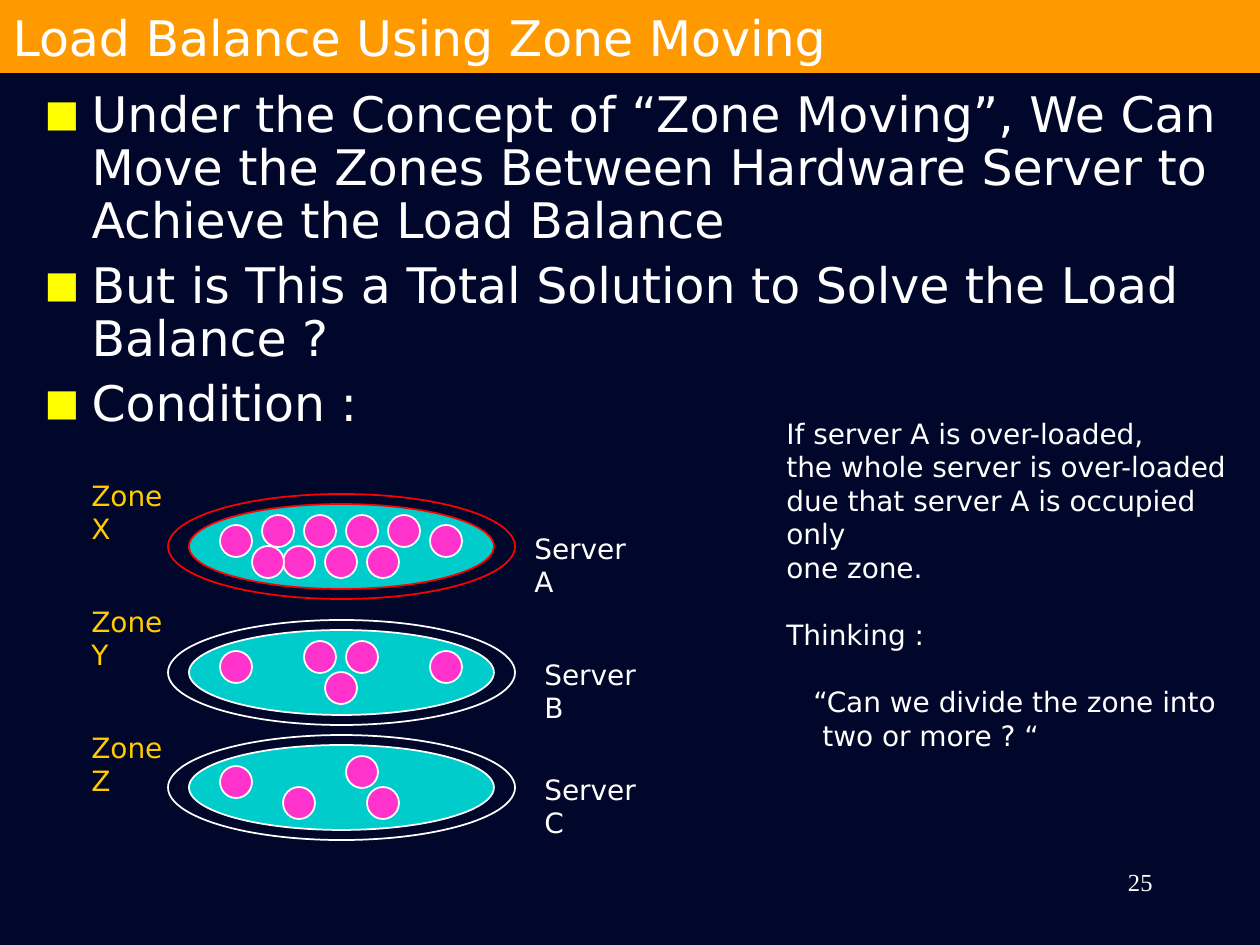
"""Build the slide on load balance by zone moving, with three servers and their zones."""
from lxml import etree
from pptx import Presentation
from pptx.dml.color import RGBColor
from pptx.enum.shapes import MSO_SHAPE
from pptx.enum.text import MSO_ANCHOR, MSO_AUTO_SIZE, PP_ALIGN
from pptx.oxml.ns import qn
from pptx.util import Emu, Pt

ELLIPSE = MSO_SHAPE.OVAL
LEFT, RIGHT = PP_ALIGN.LEFT, PP_ALIGN.RIGHT
TOP, MIDDLE = MSO_ANCHOR.TOP, MSO_ANCHOR.MIDDLE
NO_AUTOFIT = MSO_AUTO_SIZE.NONE
EMU_PER_PX = 914400 / 126
SANS, SERIF = "DejaVu Sans", "Times New Roman"
COLORS = {
    "background": "00072A", "banner": "FF9900", "text": "FFFFFF", "bullet": "FFFF00",
    "zone_label": "FFCC00", "zone": "00CCCC", "user": "FF33CC",
    "normal": "FFFFFF", "overloaded": "FF0000",
}

TITLE = "Load Balance Using Zone Moving"
POINTS = [
    "Under the Concept of “Zone Moving”, We Can Move the Zones Between Hardware Server "
    "to Achieve the Load Balance",
    "But is This a Total Solution to Solve the Load Balance ?",
    "Condition :",
]
REMARKS = [
    ("If server A is over-loaded,", {}),
    ("the whole server is over-loaded", {}),
    ("due that server A is occupied only", {}),
    ("one zone.", {}),
    ("Thinking :", {"before": 19.2}),
    ("“Can we divide the zone into", {"before": 19.2, "indent": 27}),
    ("two or more ? “", {"indent": 36}),
]
PAGE_NUMBER = "25"

HIGH, EDGE, LOW = 21, 31, 52
SERVERS = [
    {"server": "Server A", "zone": "Zone X", "state": "overloaded",
     "top": 494, "zone_top": 472, "server_left": 522,
     "users": [(220, EDGE), (262, HIGH), (304, HIGH), (346, HIGH), (388, HIGH), (430, EDGE),
               (283, LOW), (325, LOW), (367, LOW), (252, LOW)]},
    {"server": "Server B", "zone": "Zone Y", "state": "normal",
     "top": 620, "zone_top": 598, "server_left": 532,
     "users": [(220, EDGE), (304, HIGH), (346, HIGH), (430, EDGE), (325, LOW)]},
    {"server": "Server C", "zone": "Zone Z", "state": "normal",
     "top": 735, "zone_top": 724, "server_left": 532,
     "users": [(220, EDGE), (346, HIGH), (283, LOW), (367, LOW)]},
]
SERVER_LEFT, SERVER_WIDTH, SERVER_HEIGHT = 168, 347, 105
ZONE_INSET_X, ZONE_INSET_Y = 21, 10
USER_SIZE = 32
LABEL_HEIGHT = 47


def px(value):
    return Emu(round(value * EMU_PER_PX))


def color(name):
    return RGBColor.from_string(COLORS[name])


def place(shape, left, top, width, height):
    shape.left, shape.top, shape.width, shape.height = map(px, (left, top, width, height))


def add_bullet(paragraph):
    properties = paragraph._p.get_or_add_pPr()
    properties.set("marL", str(px(47)))
    properties.set("indent", str(px(-47)))
    bullet_color = etree.SubElement(properties, qn("a:buClr"))
    etree.SubElement(bullet_color, qn("a:srgbClr"), val=COLORS["bullet"])
    etree.SubElement(properties, qn("a:buSzPct"), val="75000")
    etree.SubElement(properties, qn("a:buFont"), typeface=SANS)
    etree.SubElement(properties, qn("a:buChar"), char="■")


def write(shape, lines, size=16, font=SANS, ink="text", align=LEFT, anchor=TOP,
          spacing=1.0, before=0, bullets=False):
    frame = shape.text_frame
    frame.word_wrap = True
    frame.auto_size = NO_AUTOFIT
    frame.vertical_anchor = anchor
    for index, (text, options) in enumerate(lines):
        paragraph = frame.add_paragraph() if index else frame.paragraphs[0]
        paragraph.alignment = align
        paragraph.line_spacing = spacing
        paragraph.space_before = Pt(options.get("before", before))
        if "indent" in options:
            paragraph._p.get_or_add_pPr().set("marL", str(px(options["indent"])))
        if bullets:
            add_bullet(paragraph)
        run = paragraph.add_run()
        run.text = text
        run.font.size = Pt(size)
        run.font.name = font
        run.font.color.rgb = color(ink)


def add_text(slide, box, lines, **style):
    shape = slide.shapes.add_textbox(*map(px, box))
    write(shape, lines, **style)


def add_ellipse(slide, box, line, fill=None):
    shape = slide.shapes.add_shape(ELLIPSE, *map(px, box))
    shape.shadow.inherit = False
    if fill:
        shape.fill.solid()
        shape.fill.fore_color.rgb = color(fill)
    else:
        shape.fill.background()
    shape.line.color.rgb = color(line)
    shape.line.width = Pt(1)


def add_server(slide, server):
    top, state = server["top"], server["state"]
    add_ellipse(slide, (SERVER_LEFT, top, SERVER_WIDTH, SERVER_HEIGHT), state)
    add_ellipse(slide, (SERVER_LEFT + ZONE_INSET_X, top + ZONE_INSET_Y,
                        SERVER_WIDTH - 2 * ZONE_INSET_X, SERVER_HEIGHT - 2 * ZONE_INSET_Y),
                state, "zone")
    for left, offset in server["users"]:
        add_ellipse(slide, (left, top + offset, USER_SIZE, USER_SIZE), "normal", "user")
    add_text(slide, (server["server_left"], top + EDGE, 134, LABEL_HEIGHT),
             [(server["server"], {})])
    add_text(slide, (79, server["zone_top"], 114, LABEL_HEIGHT),
             [(server["zone"], {})], ink="zone_label")


def main():
    presentation = Presentation()
    presentation.slide_width, presentation.slide_height = px(1260), px(945)
    slide = presentation.slides.add_slide(presentation.slide_layouts[1])
    slide.background.fill.solid()
    slide.background.fill.fore_color.rgb = color("background")

    title, body = slide.placeholders
    place(title, 0, 0, 1260, 73)
    title.fill.solid()
    title.fill.fore_color.rgb = color("banner")
    write(title, [(TITLE, {})], size=28, anchor=MIDDLE)
    place(body, 32, 84, 1197, 388)
    write(body, [(point, {}) for point in POINTS],
          size=28, spacing=0.9, before=7, bullets=True)

    for server in SERVERS:
        add_server(slide, server)
    add_text(slide, (774, 410, 466, 315), REMARKS)
    add_text(slide, (903, 861, 262, 63), [(PAGE_NUMBER, {})],
             size=14, font=SERIF, align=RIGHT)
    presentation.save("out.pptx")


if __name__ == "__main__":
    main()
